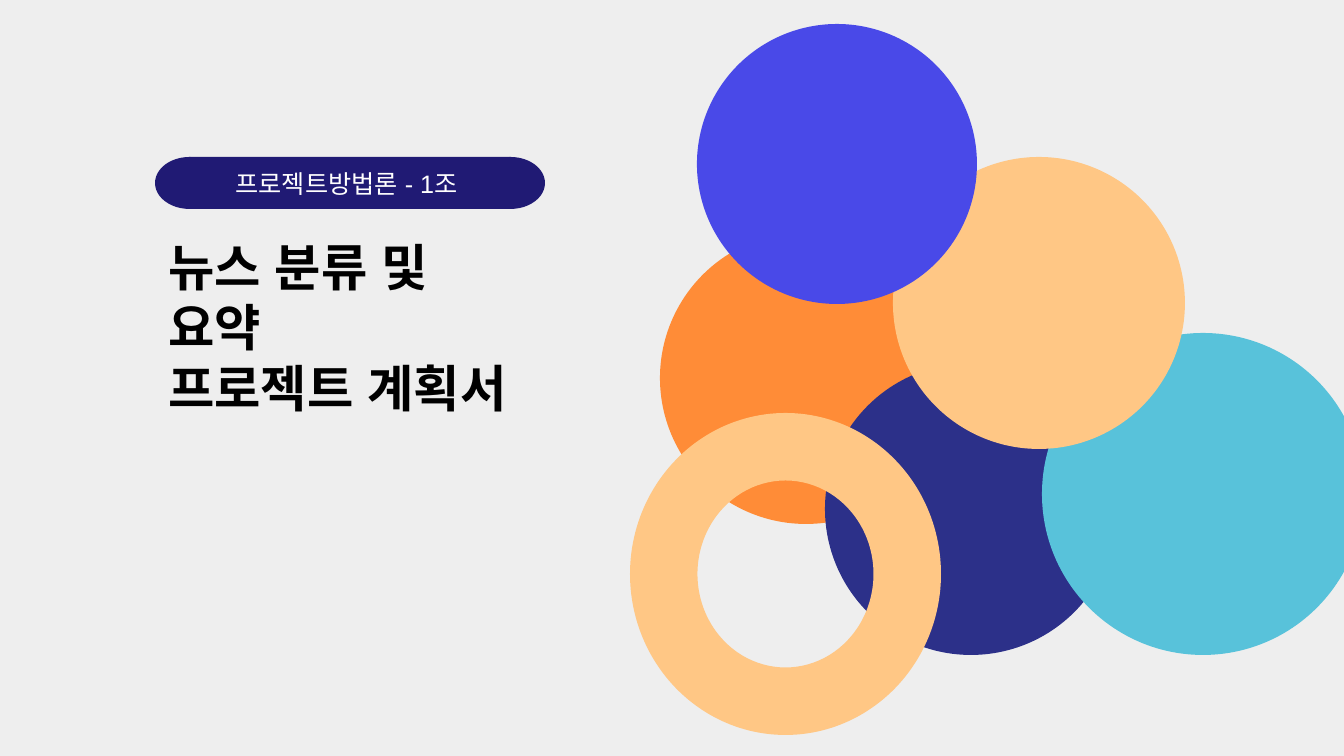
import dataclasses

import lxml.etree
import pptx
import pptx.dml.color
import pptx.enum.shapes
import pptx.enum.text
import pptx.oxml.ns
import pptx.util

EMU_PER_PX = 12192000 / 1344
SHAPES = pptx.enum.shapes.MSO_SHAPE
ALIGN = pptx.enum.text.PP_ALIGN
ANCHOR = pptx.enum.text.MSO_ANCHOR


@dataclasses.dataclass(frozen=True)
class Theme:
    background: str = "EEEEEE"
    orange: str = "FF8C37"
    navy: str = "2C3089"
    badge: str = "201A74"
    teal: str = "58C2DA"
    peach: str = "FFC785"
    blue: str = "4949E8"
    title_text: str = "000000"
    badge_text: str = "FFFFFF"
    font: str = "Arial"
    title_size: int = 36
    badge_size: int = 18


THEME = Theme()


def px(length):
    return pptx.util.Emu(round(length * EMU_PER_PX))


def rgb(color):
    return pptx.dml.color.RGBColor.from_string(color)


def add_filled(shapes, kind, left, top, width, height, color):
    """Add a preset shape with a plain fill and no outline."""
    shape = shapes.add_shape(kind, px(left), px(top), px(width), px(height))
    shape.shadow.inherit = False
    shape.fill.solid()
    shape.fill.fore_color.rgb = rgb(color)
    shape.line.fill.background()
    return shape


def add_circle(page, left, top, diameter, color):
    return add_filled(page.shapes, SHAPES.OVAL, left, top, diameter, diameter, color)


def set_typeface(span):
    """Use the theme font for Latin, East Asian and complex scripts."""
    span.font.name = THEME.font
    properties = span.font._element
    for tag in ("a:ea", "a:cs"):
        lxml.etree.SubElement(properties, pptx.oxml.ns.qn(tag), typeface=THEME.font)


def set_text(shape, text, size, color, bold, align, anchor):
    frame = shape.text_frame
    frame.text = text
    frame.word_wrap = True
    frame.auto_size = pptx.enum.text.MSO_AUTO_SIZE.NONE
    frame.vertical_anchor = anchor
    for para in frame.paragraphs:
        para.alignment = align
        for span in para.runs:
            span.font.size = pptx.util.Pt(size)
            span.font.bold = bold
            span.font.color.rgb = rgb(color)
            set_typeface(span)


def place_title(page, left, top, width, height, text):
    title = page.shapes.title
    title.left, title.top = px(left), px(top)
    title.width, title.height = px(width), px(height)
    set_text(title, text, THEME.title_size, THEME.title_text, True,
             ALIGN.LEFT, ANCHOR.TOP)


def add_badge(page, left, top, width, height, cap_width, text):
    """Add a label whose ends are rounded by two ovals."""
    badge = page.shapes.add_group_shape()
    for cap_left in (left + width - cap_width, left):
        add_filled(badge.shapes, SHAPES.OVAL, cap_left, top, cap_width, height,
                   THEME.badge)
    inset = cap_width / 2
    label = add_filled(badge.shapes, SHAPES.RECTANGLE, left + inset, top,
                       width - cap_width, height, THEME.badge)
    set_text(label, text, THEME.badge_size, THEME.badge_text, False,
             ALIGN.CENTER, ANCHOR.MIDDLE)


def main():
    deck = pptx.Presentation()
    deck.slide_width, deck.slide_height = px(1344), px(756)
    page = deck.slides.add_slide(deck.slide_layouts.get_by_name("Title Only"))
    page.background.fill.solid()
    page.background.fill.fore_color.rgb = rgb(THEME.background)

    # Circles at the back
    add_circle(page, 660, 232, 292, THEME.orange)
    add_circle(page, 825, 363, 292, THEME.navy)

    # Title and team badge
    place_title(page, 158, 231, 372, 254, "뉴스 분류 및 요약\n프로젝트 계획서")
    add_badge(page, 155, 157, 390, 52, 69, "프로젝트방법론 - 1조 ")

    # Circles and ring at the front
    add_circle(page, 1042, 333, 322, THEME.teal)
    ring = add_filled(page.shapes, SHAPES.DONUT, 630, 413, 311, 322, THEME.peach)
    ring.adjustments[0] = 0.217
    add_circle(page, 893, 157, 292, THEME.peach)
    add_circle(page, 697, 24, 280, THEME.blue)

    deck.save("out.pptx")


if __name__ == "__main__":
    main()
